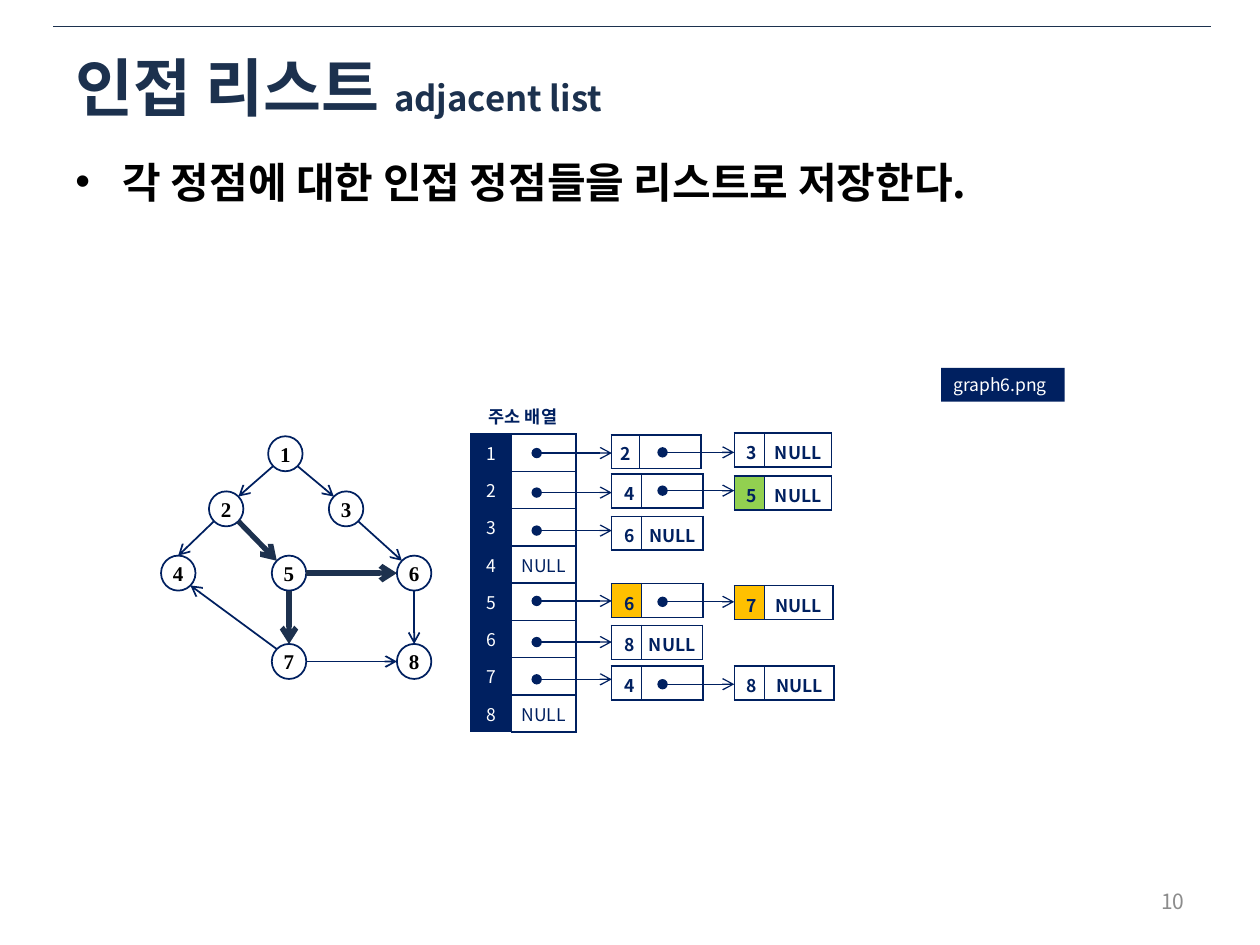
import pptx
import pptx.dml.color
import pptx.enum.shapes
import pptx.enum.text
import pptx.oxml.ns
import pptx.util
from lxml import etree

Pt = pptx.util.Pt
qn = pptx.oxml.ns.qn
ALIGN = pptx.enum.text.PP_ALIGN
MIDDLE = pptx.enum.text.MSO_ANCHOR.MIDDLE
SHAPES = pptx.enum.shapes.MSO_SHAPE

NAVY, DARK, BLACK, WHITE = "002060", "1C314E", "000000", "FFFFFF"
SANS, SERIF = "Noto Sans CJK KR", "Times New Roman"
NO_STYLE = "{2D5ABB26-0587-4C30-8999-92F81FD0307C}"
MARGINS = ("margin_left", "margin_top", "margin_right", "margin_bottom")


def rgb(value):
    return pptx.dml.color.RGBColor.from_string(value)


class SlideBuilder:
    def __init__(self, slide):
        self.slide = slide
        self.text_format = {"size": 10, "name": SANS, "color": NAVY, "bold": False}

    def run(self, paragraph, text, **changes):
        run = paragraph.add_run()
        run.text = text
        style = self.text_format | changes
        run.font.color.rgb = rgb(style.pop("color"))
        style["size"] = Pt(style["size"])
        for name, value in style.items():
            setattr(run.font, name, value)
        etree.SubElement(run.font._element, qn("a:ea"), typeface=style["name"])

    def frame(self, text_frame, **settings):
        values = {"word_wrap": True, "vertical_anchor": MIDDLE} | settings
        for name, value in values.items():
            setattr(text_frame, name, value)
        return text_frame.paragraphs[0]

    def title(self, box, runs):
        title = self.slide.shapes.title
        for name, value in zip(("left", "top", "width", "height"), box):
            setattr(title, name, Pt(value))
        paragraph = self.frame(title.text_frame,
                               auto_size=pptx.enum.text.MSO_AUTO_SIZE.NONE)
        paragraph.alignment = ALIGN.LEFT
        for text, size in runs:
            self.run(paragraph, text, size=size, color=DARK, bold=True)

    def text_box(self, box, text, align=ALIGN.LEFT, anchor=MIDDLE, **style):
        shape = self.slide.shapes.add_textbox(*map(Pt, box))
        paragraph = self.frame(shape.text_frame, vertical_anchor=anchor)
        paragraph.alignment = align
        self.run(paragraph, text, **style)
        return paragraph

    def bullet(self, box, text, indent, **style):
        paragraph = self.text_box(box, text, anchor=pptx.enum.text.MSO_ANCHOR.TOP, **style)
        paragraph.space_before = Pt(style["size"] * 0.2)
        properties = paragraph._p.get_or_add_pPr()
        properties.set("marL", str(Pt(indent)))
        properties.set("indent", str(-Pt(indent)))
        etree.SubElement(properties, qn("a:buFont"), typeface="Arial")
        etree.SubElement(properties, qn("a:buChar"), char="•")

    def shape(self, kind, box, text, fill=None, line=None, align=ALIGN.CENTER,
              frame=None, **style):
        shape = self.slide.shapes.add_shape(kind, *map(Pt, box))
        shape.shadow.inherit = False
        if fill:
            shape.fill.solid()
            shape.fill.fore_color.rgb = rgb(fill)
        else:
            shape.fill.background()
        if line:
            shape.line.color.rgb = rgb(line)
            shape.line.width = Pt(1)
        else:
            shape.line.fill.background()
        paragraph = self.frame(shape.text_frame, **(frame or {}))
        paragraph.alignment = align
        self.run(paragraph, text, **style)

    def line(self, start, end, color=NAVY, width=1, head=None, tail=None):
        connector = self.slide.shapes.add_connector(
            pptx.enum.shapes.MSO_CONNECTOR.STRAIGHT, *map(Pt, (*start, *end)))
        connector.line.color.rgb = rgb(color)
        connector.line.width = Pt(width)
        for tag, kind in (("a:headEnd", head), ("a:tailEnd", tail)):
            if kind:
                etree.SubElement(connector.line._get_or_add_ln(), qn(tag), type=kind)
        etree.SubElement(connector._element.spPr, qn("a:effectLst"))

    def table(self, left, top, columns, row_height, row_count):
        shape = self.slide.shapes.add_table(
            row_count, len(columns), Pt(left), Pt(top), Pt(sum(columns)),
            Pt(row_height * row_count))
        table = shape.table
        table.first_row = table.horz_banding = False
        table._tbl.tblPr.find(qn("a:tableStyleId")).text = NO_STYLE
        for column, width in zip(table.columns, columns):
            column.width = Pt(width)
        for row in table.rows:
            row.height = Pt(row_height)
        return table

    def cell(self, cell, text="", fill=None, sides="LRTB", margins=(2.9,) * 4, **style):
        cell.vertical_anchor = MIDDLE
        for name, value in zip(MARGINS, margins):
            setattr(cell, name, Pt(value))
        properties = cell._tc.get_or_add_tcPr()
        for side in sides:
            border = etree.SubElement(properties, qn("a:ln" + side), w=str(Pt(1)))
            solid = etree.SubElement(border, qn("a:solidFill"))
            etree.SubElement(solid, qn("a:srgbClr"), val=NAVY)
        if fill:
            cell.fill.solid()
            cell.fill.fore_color.rgb = rgb(fill)
        else:
            cell.fill.background()
        paragraph = cell.text_frame.paragraphs[0]
        paragraph.alignment = ALIGN.CENTER
        if text:
            self.run(paragraph, text, **style)
        else:
            etree.SubElement(paragraph._p, qn("a:endParaRPr"), sz="1000")

    def address_array(self, left, top, header, entries):
        table = self.table(left, top, (23.8, 36.7), 21.3, len(entries) + 1)
        table.cell(0, 0).merge(table.cell(0, 1))
        self.cell(table.cell(0, 0), header, sides="B", bold=True)
        for index, entry in enumerate(entries, 1):
            self.cell(table.cell(index, 0), str(index), fill=NAVY, sides="", color=WHITE)
            self.cell(table.cell(index, 1), entry)

    def list_node(self, left, top, width, vertex, link, fill=None, compact=False):
        key_width = 16 if compact else 16.6
        table = self.table(left, top, (key_width, width - key_width),
                           18 if compact else 19.4, 1)
        key_margins = (2.9,) * 4 if compact else (7.2, 3.6) * 2
        self.cell(table.cell(0, 0), vertex, fill, margins=key_margins, bold=True)
        self.cell(table.cell(0, 1), link, margins=(2.9, 3.6) * 2, bold=True)


def draw_graph(builder):
    width, height = 19.7, 20
    vertices = {1: (153.2, 249.3), 2: (119.4, 280.8), 3: (187.9, 280.8),
                4: (92, 317.5), 5: (155.3, 317.5), 6: (226.8, 317.5),
                7: (155.3, 368), 8: (226.8, 368)}
    # Each edge: from, to, direction of the exit point, of the entry point.
    edges = [(3, 6, (1, 1), (-1, -1)), (5, 6, (1, 0), (-1, 0)),
             (1, 3, (1, 1), (-1, -1)), (7, 4, (-1, -1), (1, 1)),
             (2, 5, (1, 1), (-1, -1)), (2, 4, (-1, 1), (0, -1)),
             (1, 2, (-1, 1), (1, -1)), (5, 7, (0, 1), (0, -1)),
             (6, 8, (0, 1), (0, -1)), (7, 8, (1, 0), (-1, 0))]
    highlighted = {(2, 5), (5, 6), (5, 7)}

    def rim_point(vertex, direction):
        left, top = vertices[vertex]
        x, y = direction
        scale = 2 * (x * x + y * y) ** 0.5
        return left + width * (0.5 + x / scale), top + height * (0.5 + y / scale)

    for vertex, position in vertices.items():
        builder.shape(SHAPES.OVAL, (*position, width, height), str(vertex), line=NAVY,
                      frame={"margin_left": 0, "margin_right": 0},
                      size=12, name=SERIF, color=BLACK, bold=True)
    for source, target, leave, enter in edges:
        strong = (source, target) in highlighted
        builder.line(rim_point(source, leave), rim_point(target, enter),
                     color="1D314E" if strong else NAVY, width=3 if strong else 1,
                     tail="arrow")


def draw_adjacency_list(builder):
    first, second = 349.4, 419.6
    green, orange = "92D050", "FFC000"
    builder.address_array(268.6, 226.8, "주소 배열",
                          ["", "", "", "NULL", "", "", "", "NULL"])
    builder.list_node(first, 248.6, 51.2, "2", "", compact=True)
    for left, top, width, vertex, link, fill in [
            (second, 247.4, 55, "3", "NULL", None),
            (first, 270.8, 51.8, "4", "", None),
            (second, 272, 55, "5", "NULL", green),
            (first, 295, 51.8, "6", "NULL", None),
            (first, 333.5, 51.8, "6", "", orange),
            (second, 334.7, 55.8, "7", "NULL", orange),
            (first, 357.4, 51.4, "8", "NULL", None),
            (first, 380.5, 51.8, "4", "", None),
            (second, 380.5, 56.4, "8", "NULL", None)]:
        builder.list_node(left, top, width, vertex, link, fill)
    for start, end, heights in [
            (306.7, 349.6, (258.9, 281.5, 303.2, 343.4, 366.9, 388.2)),
            (378.6, 419.6, (258.5, 280.4, 343.9, 391))]:
        for y in heights:
            builder.line((start, y), (end, y), width=0.75, head="oval", tail="arrow")


def main():
    presentation = pptx.Presentation()
    presentation.slide_width, presentation.slide_height = Pt(720), Pt(540)
    builder = SlideBuilder(presentation.slides.add_slide(presentation.slide_layouts[5]))
    builder.line((30.4, 15), (692, 15), color=DARK, width=0.25)
    builder.title((36, 25.2, 648, 48.2), [("인접 리스트 ", 36), ("adjacent list", 19.8)])
    builder.bullet((36, 85.7, 648, 49.7), "각 정점에 대한 인접 정점들을 리스트로 저장한다.",
                   indent=27, size=24, color=BLACK, bold=True)
    draw_adjacency_list(builder)
    builder.text_box((516, 500.4, 168, 28.8), "10", align=ALIGN.RIGHT,
                     size=12, color="8C8C8C")
    draw_graph(builder)
    builder.shape(SHAPES.RECTANGLE, (537.8, 210.2, 70.6, 19.4), "graph6.png", fill=NAVY,
                  align=ALIGN.LEFT, frame={"word_wrap": False}, color=WHITE)
    presentation.save("out.pptx")


if __name__ == "__main__":
    main()
